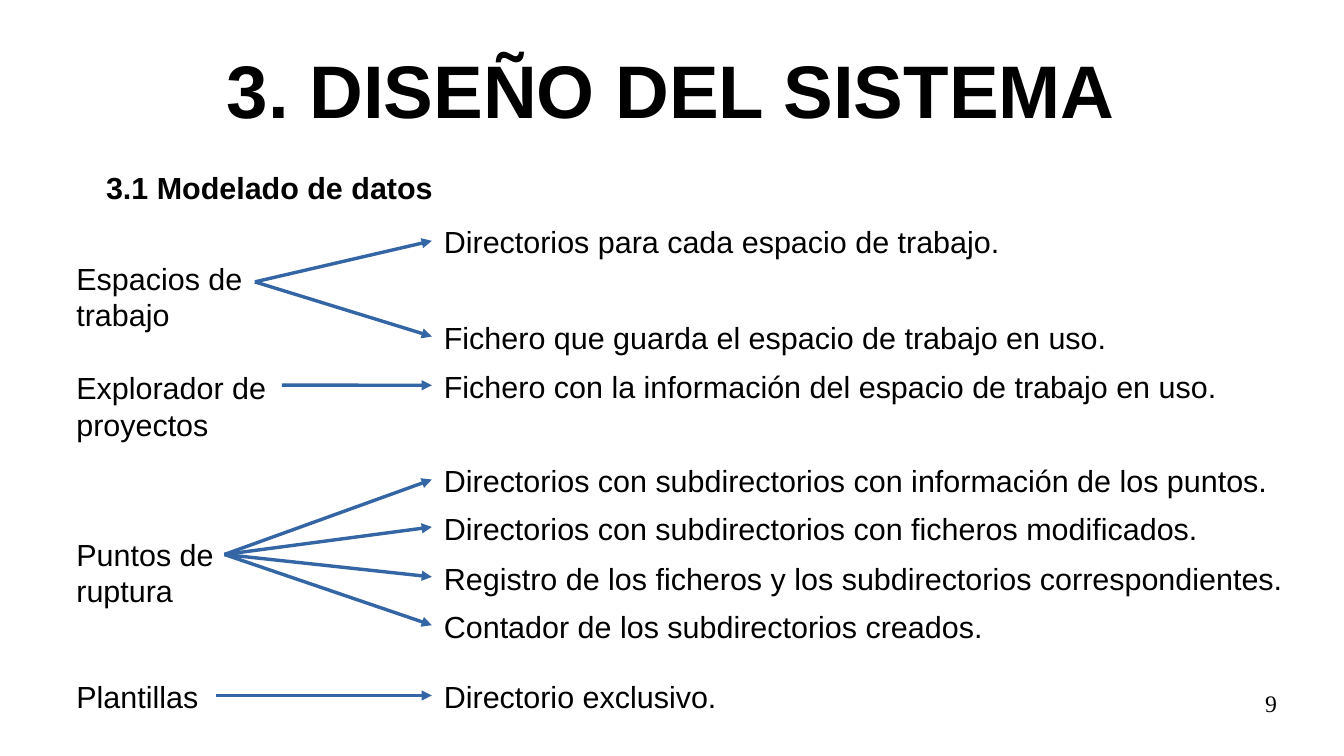
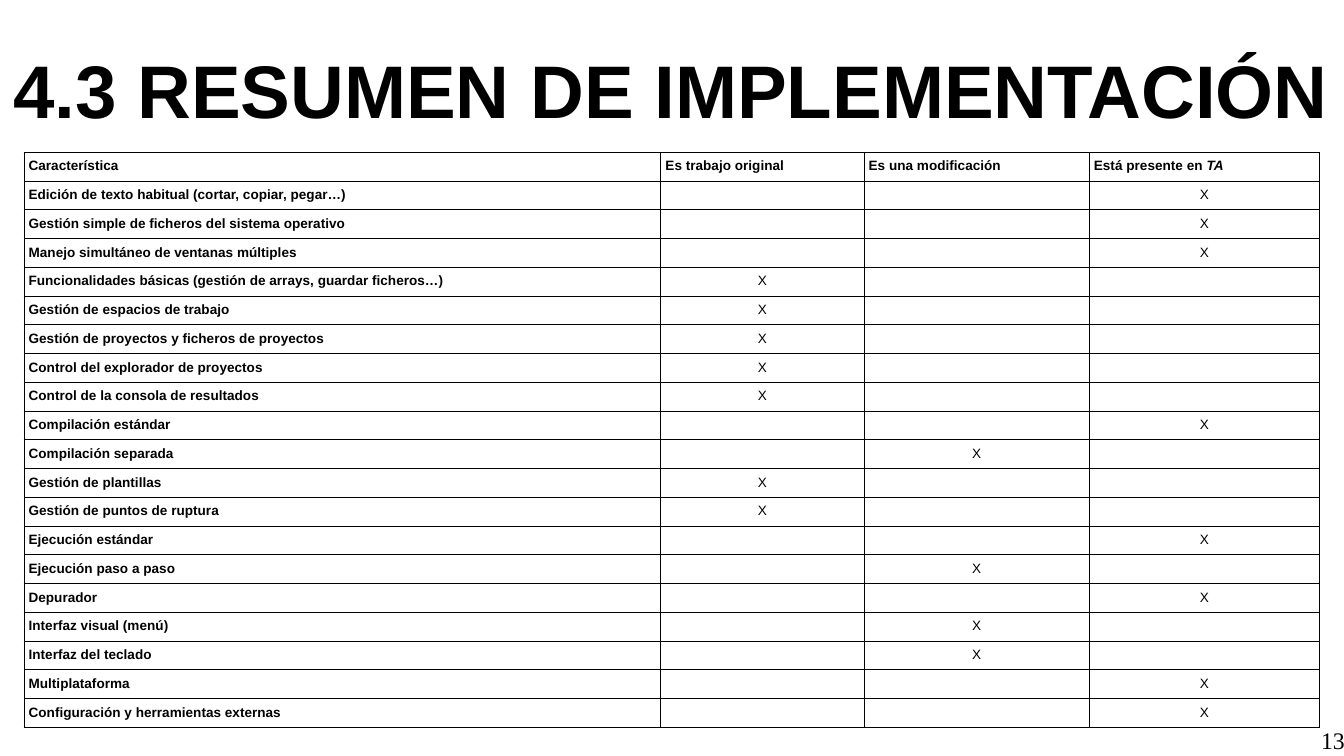
from lxml import etree
from pptx import Presentation, util as u
from pptx.dml import color
from pptx.enum import shapes, text
from pptx.oxml import ns

Pt = u.Pt
ALIGN = text.PP_ALIGN

# Shared look
SLIDE_W, SLIDE_H = 793.5, 446.5
BLACK, WHITE, ARROW_BLUE = "000000", "FFFFFF", "3465A4"
SANS, SERIF = "Arial", "Times New Roman"
TITLE_SIZE, BODY_SIZE, NUMBER_SIZE, TABLE_SIZE = 44, 18, 14, 8
TITLE_TOP, TITLE_H = 18, 75
BODY_INSETS = (7.2, 3.6)
LINE_H = 27.5
LABEL_X, ITEM_X = 38, 255

# Each group: label, label top, label width, arrow start, items (text, top, width)
GROUPS = [
    ("Espacios de trabajo", 150, 168, (150.5, 166.5), [
        ("Directorios para cada espacio de trabajo.", 128.5, 354),
        ("Fichero que guarda el espacio de trabajo en uso.", 185, 426)]),
    ("Explorador de proyectos", 214.5, 205, (166.5, 227.5), [
        ("Fichero con la información del espacio de trabajo en uso.",
         213.8, 482)]),
    ("Puntos de ruptura", 313, 154, (132.5, 327.5), [
        ("Directorios con subdirectorios con información de los puntos.",
         269.5, 514),
        ("Directorios con subdirectorios con ficheros modificados.",
         297.5, 482),
        ("Registro de los ficheros y los subdirectorios correspondientes.",
         327, 514),
        ("Contador de los subdirectorios creados.", 355.5, 354)]),
    ("Plantillas", 397, 171, (127.5, 410.75), [
        ("Directorio exclusivo.", 397, 199)]),
]

# Table: column widths, header runs (text, italic), rows (feature, marked column)
COLUMNS = (376, 120, 133, 136)
ROW_H = 17
ORIGINAL, MODIFIED, PRESENT = 1, 2, 3
HEADER = [
    [("Característica", False)],
    [("Es trabajo original", False)],
    [("Es una modificación", False)],
    [("Está presente en ", False), ("TA", True)],
]
FEATURES = [
    ("Edición de texto habitual (cortar, copiar, pegar…)", PRESENT),
    ("Gestión simple de ficheros del sistema operativo", PRESENT),
    ("Manejo simultáneo de ventanas múltiples", PRESENT),
    ("Funcionalidades básicas (gestión de arrays, guardar ficheros…)",
     ORIGINAL),
    ("Gestión de espacios de trabajo", ORIGINAL),
    ("Gestión de proyectos y ficheros de proyectos", ORIGINAL),
    ("Control del explorador de proyectos", ORIGINAL),
    ("Control de la consola de resultados", ORIGINAL),
    ("Compilación estándar", PRESENT),
    ("Compilación separada", MODIFIED),
    ("Gestión de plantillas", ORIGINAL),
    ("Gestión de puntos de ruptura", ORIGINAL),
    ("Ejecución estándar", PRESENT),
    ("Ejecución paso a paso", MODIFIED),
    ("Depurador", PRESENT),
    ("Interfaz visual (menú)", MODIFIED),
    ("Interfaz del teclado", MODIFIED),
    ("Multiplataforma", PRESENT),
    ("Configuración y herramientas externas", PRESENT),
]


def rgb(value):
    return color.RGBColor.from_string(value)


def add_run(para, wording, size, bold=False, italic=False, font=SANS):
    span = para.add_run()
    span.text = wording
    span.font.name = font
    span.font.size = Pt(size)
    span.font.bold = bold
    span.font.italic = italic
    span.font.color.rgb = rgb(BLACK)


def set_insets(target, across, down):
    target.margin_left = target.margin_right = Pt(across)
    target.margin_top = target.margin_bottom = Pt(down)


def add_text(page, wording, place, size=BODY_SIZE, bold=False, font=SANS,
             insets=BODY_INSETS, align=ALIGN.LEFT):
    box = page.shapes.add_textbox(*map(Pt, place))
    frame = box.text_frame
    frame.word_wrap = True
    set_insets(frame, *insets)
    para = frame.paragraphs[0]
    para.alignment = align
    add_run(para, wording, size, bold, font=font)
    return box


def add_page(deck, title, title_x, title_w):
    page = deck.slides.add_slide(deck.slide_layouts[6])
    page.background.fill.solid()
    page.background.fill.fore_color.rgb = rgb(WHITE)
    box = add_text(page, title, (title_x, TITLE_TOP, title_w, TITLE_H),
                   TITLE_SIZE, True, insets=(0, 0), align=ALIGN.CENTER)
    box.text_frame.vertical_anchor = text.MSO_ANCHOR.MIDDLE
    box.text_frame.paragraphs[0].line_spacing = 0.9
    return page


def add_page_number(page, number, left, top):
    add_text(page, number, (left, top, 185, 31), NUMBER_SIZE, font=SERIF,
             insets=(0, 0), align=ALIGN.RIGHT)


def add_arrow(page, start, target):
    """Draw a hairline arrow from a point to the left side of a box."""
    x, y = map(Pt, start)
    arrow = page.shapes.add_connector(
        shapes.MSO_CONNECTOR.STRAIGHT, x, y, target.left, y)
    arrow.end_connect(target, 1)
    arrow.line.color.rgb = rgb(ARROW_BLUE)
    arrow.line.width = Pt(0)
    outline = arrow.line._get_or_add_ln()
    etree.SubElement(outline, ns.qn("a:tailEnd"), type="triangle")
    etree.SubElement(arrow._element.spPr, ns.qn("a:effectLst"))


def add_group(page, label, top, width, start, items):
    add_text(page, label, (LABEL_X, top, width, LINE_H))
    for wording, item_top, item_w in items:
        item = add_text(page, wording, (ITEM_X, item_top, item_w, LINE_H))
        add_arrow(page, start, item)


def style_cell(cell):
    set_insets(cell, 2.7, 3.6)
    cell.fill.background()
    props = cell._tc.get_or_add_tcPr()
    for index, side in enumerate(("lnL", "lnR", "lnT", "lnB")):
        border = etree.Element(ns.qn("a:" + side), w=str(Pt(0.57)))
        fill = etree.SubElement(border, ns.qn("a:solidFill"))
        etree.SubElement(fill, ns.qn("a:srgbClr"), val=BLACK)
        props.insert(index, border)


def fill_cell(cell, runs, bold, align):
    """Write (text, italic) runs; an empty cell keeps the small text size."""
    style_cell(cell)
    para = cell.text_frame.paragraphs[0]
    para.alignment = align
    for wording, italic in runs:
        add_run(para, wording, TABLE_SIZE, bold, italic)
    if not runs:
        etree.SubElement(para._p, ns.qn("a:endParaRPr"),
                         sz=str(TABLE_SIZE * 100))


def add_feature_table(page, left, top):
    count = len(FEATURES) + 1
    table = page.shapes.add_table(
        count, len(COLUMNS), Pt(left), Pt(top),
        Pt(sum(COLUMNS)), Pt(ROW_H * count)).table
    table.first_row = table.horz_banding = False
    for column, width in zip(table.columns, COLUMNS):
        column.width = Pt(width)
    for row in table.rows:
        row.height = Pt(ROW_H)
    for index, runs in enumerate(HEADER):
        fill_cell(table.cell(0, index), runs, True, ALIGN.JUSTIFY)
    for row, (feature, marked) in enumerate(FEATURES, 1):
        fill_cell(table.cell(row, 0), [(feature, False)], True, ALIGN.JUSTIFY)
        for index in (ORIGINAL, MODIFIED, PRESENT):
            runs = [("X", False)] if index == marked else []
            fill_cell(table.cell(row, index), runs, False, ALIGN.CENTER)


def main():
    deck = Presentation()
    deck.slide_width, deck.slide_height = Pt(SLIDE_W), Pt(SLIDE_H)

    # Data model
    page = add_page(deck, "3. DISEÑO DEL SISTEMA", 39.5, 714)
    add_text(page, "3.1 Modelado de datos", (55.5, 96.5, 497.5, LINE_H),
             bold=True)
    for group in GROUPS:
        add_group(page, *group)
    add_page_number(page, "9", 569, 407)

    # Implementation summary
    page = add_page(deck, "4.3 RESUMEN DE IMPLEMENTACIÓN", -3, 799)
    add_feature_table(page, 14.2, 90)
    add_page_number(page, "13", 609, 428.5)

    deck.save("out.pptx")


if __name__ == "__main__":
    main()
